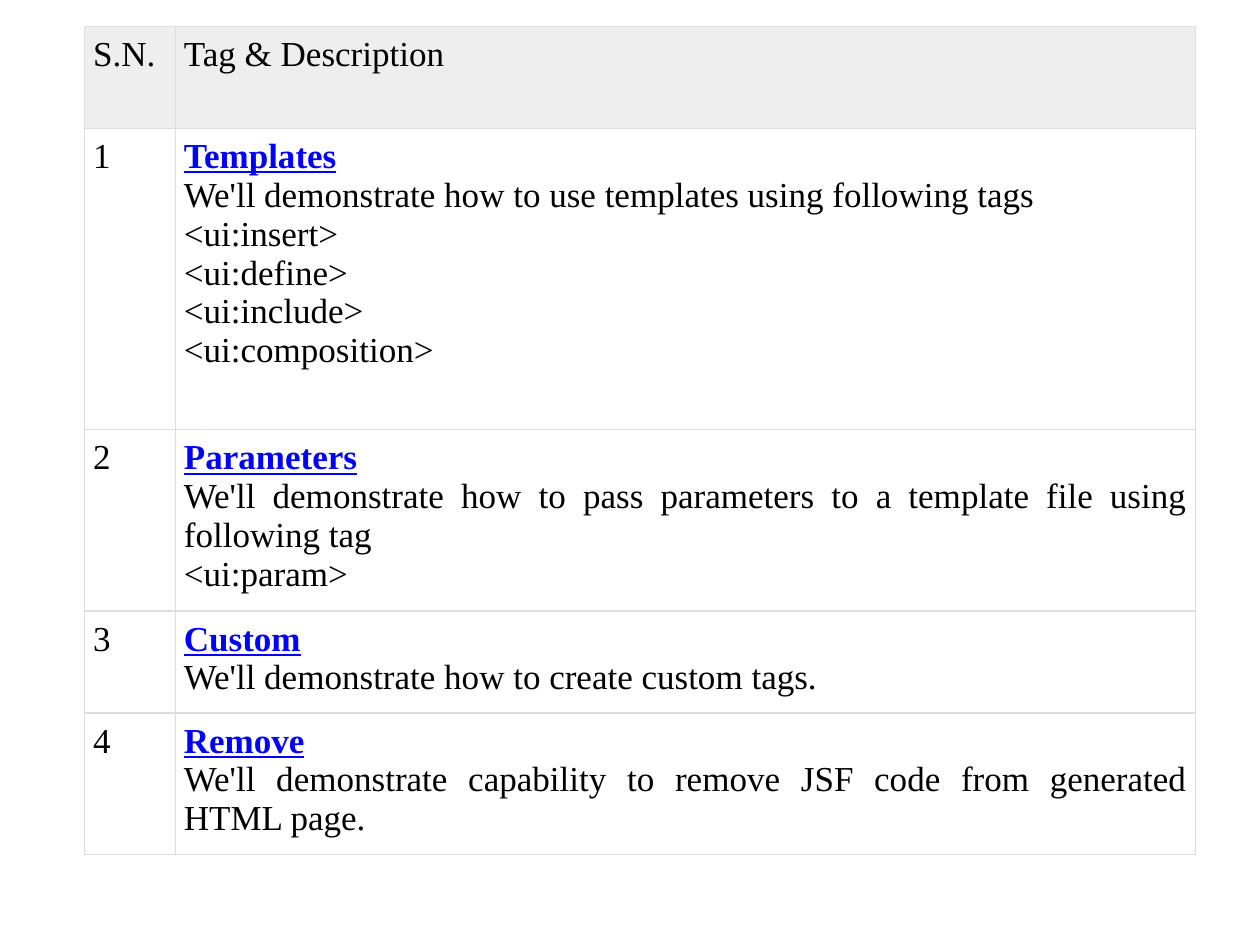
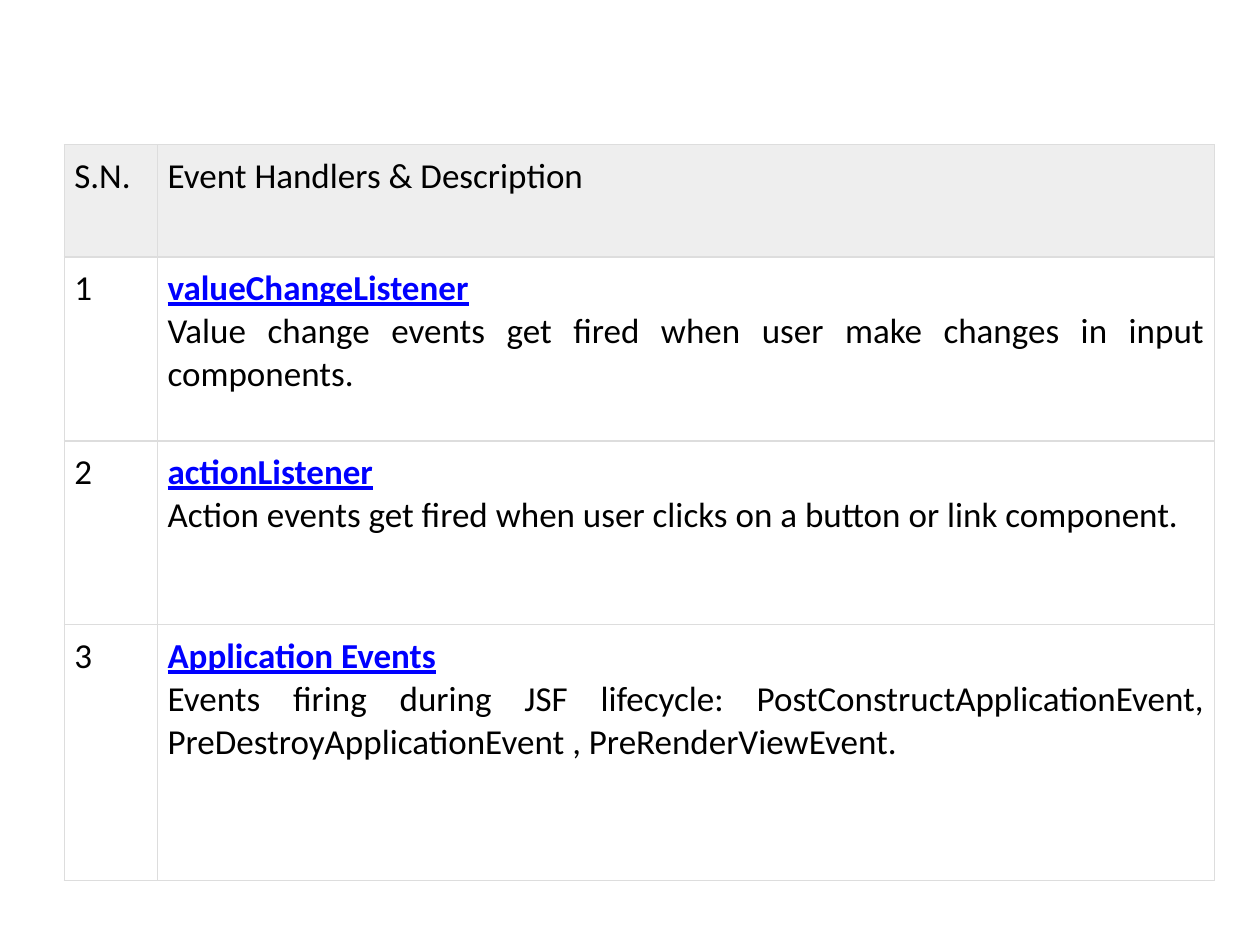
from lxml import etree
from pptx import Presentation
from pptx import util as u
from pptx.dml.color import RGBColor
from pptx.enum import text
from pptx.oxml.ns import qn

# Shared look
BLACK, LINK_BLUE, HEADER_GREY, RULE_GREY = "000000", "0000FF", "EEEEEE", "DDDDDD"
TEXT_SIZE = u.Pt(20)
RULE_WIDTH = u.Pt(0.75)

# Content: each row is a heading followed by its description lines
tables = [
    dict(
        font="Times New Roman", left=0.67, top=0.21, inset=0.07,
        widths=[0.72, 8.1], heights=[0.81, 2.39, 1.44, 0.81, 1.12],
        header="Tag & Description",
        entries=[
            ["Templates",
             "We'll demonstrate how to use templates using following tags",
             "<ui:insert>", "<ui:define>", "<ui:include>", "<ui:composition>"],
            ["Parameters",
             "We'll demonstrate how to pass parameters to a template file using following tag",
             "<ui:param>"],
            ["Custom", "We'll demonstrate how to create custom tags."],
            ["Remove",
             "We'll demonstrate capability to remove JSF code from generated HTML page."],
        ],
    ),
    dict(
        font="Calibri", left=0.51, top=1.15, inset=0.08,
        widths=[0.74, 8.39], heights=[0.89, 1.46, 1.46, 2.03],
        header="Event Handlers & Description",
        entries=[
            ["valueChangeListener",
             "Value change events get fired when user make changes in input components."],
            ["actionListener",
             "Action events get fired when user clicks on a button or link component."],
            ["Application Events",
             "Events firing during JSF lifecycle: PostConstructApplicationEvent, "
             "PreDestroyApplicationEvent , PreRenderViewEvent."],
        ],
    ),
]


def style_cell(cell, inset, fill=None):
    """Set the margins, the four borders and the fill of a cell."""
    cell.margin_left = cell.margin_right = u.Inches(inset)
    cell.margin_top = cell.margin_bottom = u.Inches(inset)
    properties = cell._tc.get_or_add_tcPr()
    for side in ("lnL", "lnR", "lnT", "lnB"):
        line = etree.SubElement(properties, qn(f"a:{side}"), w=str(RULE_WIDTH))
        solid = etree.SubElement(line, qn("a:solidFill"))
        etree.SubElement(solid, qn("a:srgbClr"), val=RULE_GREY)
    if fill:
        cell.fill.solid()
        cell.fill.fore_color.rgb = RGBColor.from_string(fill)
    else:
        cell.fill.background()


def add_line(paragraph, words, font_name, heading=False):
    """Add one run, as a blue underlined heading or as plain text."""
    run = paragraph.add_run()
    run.text = words
    run.font.name = font_name
    run.font.size = TEXT_SIZE
    run.font.bold = run.font.underline = heading
    run.font.color.rgb = RGBColor.from_string(LINK_BLUE if heading else BLACK)


deck = Presentation()
deck.slide_width, deck.slide_height = u.Inches(10), u.Inches(7.5)

for content in tables:
    slide = deck.slides.add_slide(deck.slide_layouts[6])
    widths, heights = content["widths"], content["heights"]
    font_name, inset = content["font"], content["inset"]

    # Grid
    grid = slide.shapes.add_table(
        len(heights), len(widths), u.Inches(content["left"]), u.Inches(content["top"]),
        u.Inches(sum(widths)), u.Inches(sum(heights))).table
    grid.first_row = grid.horz_banding = False
    for column, width in zip(grid.columns, widths):
        column.width = u.Inches(width)
    for row, height in zip(grid.rows, heights):
        row.height = u.Inches(height)

    # Header row
    for cell, label in zip(grid.rows[0].cells, ["S.N.", content["header"]]):
        style_cell(cell, inset, HEADER_GREY)
        add_line(cell.text_frame.paragraphs[0], label, font_name)

    # Numbered rows
    for number, lines in enumerate(content["entries"], start=1):
        number_cell, description_cell = grid.rows[number].cells
        style_cell(number_cell, inset)
        style_cell(description_cell, inset)
        add_line(number_cell.text_frame.paragraphs[0], str(number), font_name)
        frame = description_cell.text_frame
        for index, words in enumerate(lines):
            paragraph = frame.add_paragraph() if index else frame.paragraphs[0]
            paragraph.alignment = text.PP_ALIGN.JUSTIFY
            add_line(paragraph, words, font_name, heading=index == 0)

deck.save("out.pptx")
